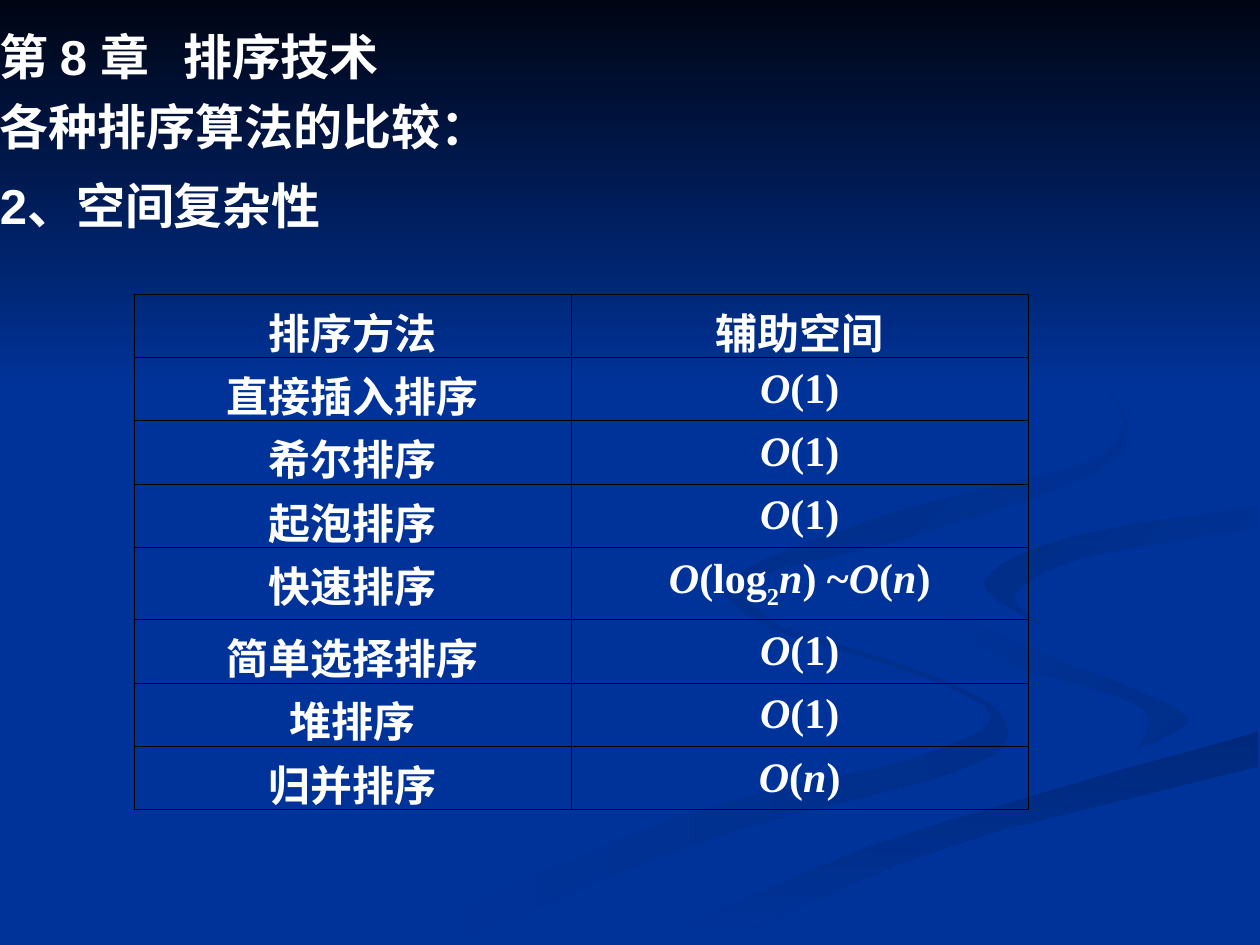
from lxml.etree import SubElement
from pptx import Presentation
from pptx.dml.color import RGBColor
from pptx.enum.text import MSO_ANCHOR as Anchor, PP_ALIGN as Align
from pptx.oxml.ns import qn
from pptx.util import Pt

COLORS = {
    "blue": "003399", "night": "000514", "text": "FFFFFF", "grid": "000000",
    "shade": "002E8A", "deep": "00297C", "dusk": "002C85", "dim": "002B81",
}
WIDTH, HEIGHT = 720, 540
CURVE_STEPS = 5

# Ribbons from back to front: start colour, end colour, clockwise angle, curved edges
RIBBONS = [
    ("shade", "blue", 180, [
        [(414, 330), (433, 356), (514, 382), (566, 408), (523, 433), (388, 467), (216, 539)],
        [(260, 539), (406, 479), (544, 442), (576, 418), (545, 391), (442, 357)]]),
    ("shade", "blue", 225, [
        [(521, 334), (574, 377), (653, 405), (644, 436)],
        [(644, 436), (679, 410), (598, 374), (521, 334)]]),
    ("deep", "blue", 90, [
        [(362, 539), (501, 482), (719, 418)],
        [(719, 438), (541, 484), (411, 539)]]),
    ("blue", None, 0, [
        [(343, 539), (507, 472), (679, 414), (598, 374), (522, 334), (592, 312), (719, 279)],
        [(719, 289), (612, 307), (562, 333), (624, 366), (719, 387)],
        [(719, 418), (501, 482), (374, 538)]]),
    ("blue", "dusk", 225, [
        [(719, 302), (618, 319), (580, 340), (595, 357)],
        [(595, 357), (562, 333), (611, 307), (719, 289)]]),
    ("blue", "dim", 225, [
        [(549, 168), (626, 215), (631, 259), (507, 294), (415, 333), (448, 360)],
        [(448, 360), (429, 332), (532, 303), (640, 261), (622, 210), (549, 168)]]),
]
SKY = [(0, 0), (0, 222), (WIDTH, 222), (WIDTH, 0)]

HEADINGS = [(15, "第 8 章   排序技术"), (55, "各种排序算法的比较："), (100, "2、空间复杂性")]

# Bars separate the runs of a formula
CONSTANT = "O|(1)"
SPACE_COSTS = [
    ("排序方法", "辅助空间"),
    ("直接插入排序", CONSTANT),
    ("希尔排序", CONSTANT),
    ("起泡排序", CONSTANT),
    ("快速排序", "O|(log|2|n|) ~|O|(|n|)"),
    ("简单选择排序", CONSTANT),
    ("堆排序", CONSTANT),
    ("归并排序", "O|(|n|)"),
]


def rgb(name):
    return RGBColor.from_string(COLORS[name])


def smooth(knots):
    """Return points along a Catmull-Rom curve through the knots."""
    padded = [knots[0], *knots, knots[-1]]
    curve = [knots[0]]
    for before, start, end, after in zip(padded, padded[1:], padded[2:], padded[3:]):
        for step in range(1, CURVE_STEPS + 1):
            t = step / CURVE_STEPS
            curve.append(tuple(
                b + ((c - a) * t + (2 * a - 5 * b + 4 * c - d) * t ** 2
                     + (3 * b - a - 3 * c + d) * t ** 3) / 2
                for a, b, c, d in zip(before, start, end, after)))
    return curve


class SlideBuilder:
    heading_font, heading_size = "Arial", 28
    table_font, table_size = "Times New Roman", 24
    border_width = 0.45

    def __init__(self, slide):
        self.slide = slide
        backdrop = slide.background.fill
        backdrop.solid()
        backdrop.fore_color.rgb = rgb("blue")

    def style(self, paragraph, font_name, size):
        font = paragraph.font
        font.name, font.size, font.bold = font_name, Pt(size), True
        font.color.rgb = rgb("text")

    def area(self, start, end, angle, outline):
        """Draw a borderless polygon, plain when end is None, else with a gradient."""
        pen = self.slide.shapes.build_freeform(*outline[0], scale=Pt(1))
        pen.add_line_segments(outline[1:], close=True)
        polygon = pen.convert_to_shape()
        polygon.shadow.inherit = False
        polygon.line.fill.background()
        fill = polygon.fill
        if end is None:
            fill.solid()
            fill.fore_color.rgb = rgb(start)
            return
        fill.gradient()
        fill.gradient_angle = (360 - angle) % 360
        for stop, color, position in zip(fill.gradient_stops, (start, end), (0, 1)):
            stop.color.rgb = rgb(color)
            stop.position = position

    def ribbon(self, start, end, angle, edges):
        self.area(start, end, angle, [point for edge in edges for point in smooth(edge)])

    def heading(self, top, words):
        frame = self.slide.shapes.add_textbox(0, Pt(top), Pt(WIDTH), Pt(34)).text_frame
        frame.word_wrap = True
        frame.margin_left = frame.margin_right = frame.margin_top = frame.margin_bottom = 0
        frame.text = words
        self.style(frame.paragraphs[0], self.heading_font, self.heading_size)

    def table(self, left, top, column_widths, row_heights, rows):
        table = self.slide.shapes.add_table(
            len(rows), len(column_widths), Pt(left), Pt(top),
            Pt(sum(column_widths)), Pt(sum(row_heights))).table
        table.first_row = table.horz_banding = False
        for column, width in zip(table.columns, column_widths):
            column.width = Pt(width)
        for row, height, entries in zip(table.rows, row_heights, rows):
            row.height = Pt(height)
            for cell, entry in zip(row.cells, entries):
                self.cell(cell, entry)

    def cell(self, cell, entry):
        cell.vertical_anchor = Anchor.MIDDLE
        self.borders(cell)
        cell.fill.background()
        paragraph = cell.text_frame.paragraphs[0]
        paragraph.alignment = Align.CENTER
        self.style(paragraph, self.table_font, self.table_size)
        for piece in entry.split("|"):
            run = paragraph.add_run()
            run.text = piece
            if piece in ("O", "n"):
                run.font.italic = True
            elif piece == "2":
                run._r.get_or_add_rPr().set("baseline", "-30000")

    def borders(self, cell):
        properties = cell._tc.get_or_add_tcPr()
        for side in ("a:lnL", "a:lnR", "a:lnT", "a:lnB"):
            line = SubElement(properties, qn(side), w=str(Pt(self.border_width)))
            paint = SubElement(line, qn("a:solidFill"))
            SubElement(paint, qn("a:srgbClr"), val=COLORS["grid"])


def main():
    deck = Presentation()
    deck.slide_width, deck.slide_height = Pt(WIDTH), Pt(HEIGHT)
    builder = SlideBuilder(deck.slides.add_slide(deck.slide_layouts[6]))
    for ribbon in RIBBONS:
        builder.ribbon(*ribbon)
    builder.area("night", "blue", 90, SKY)
    for top, words in HEADINGS:
        builder.heading(top, words)
    row_heights = [41 if "log" in cost else 36.2 for _, cost in SPACE_COSTS]
    builder.table(76.5, 168, (250, 261), row_heights, SPACE_COSTS)
    deck.save("out.pptx")


if __name__ == "__main__":
    main()
